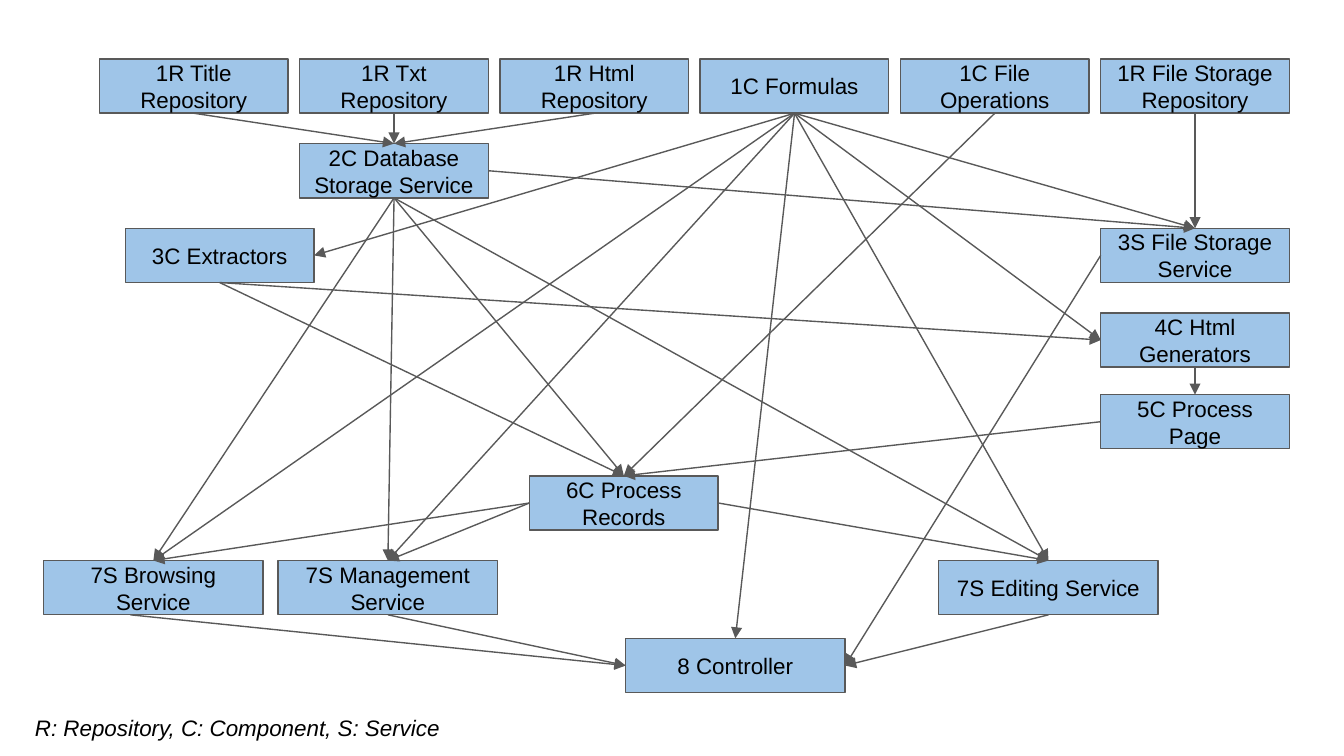
from dataclasses import dataclass

from lxml import etree
from pptx import Presentation, util as u
from pptx.dml.color import RGBColor
from pptx.enum import shapes, text
from pptx.oxml.ns import qn

COLORS = {"box": "9FC5E8", "line": "595959", "text": "000000"}
WIDTH = u.Inches(10)
HEIGHT = u.Emu(WIDTH * 9 // 16)
TOP, LEFT, BOTTOM, RIGHT = range(4)

# Shares of the slide's width and height, in percent
NARROW, WIDE, BOX_HEIGHT = 14.04, 16.33, 7.18
ROWS = [7.8, 19, 30.2, 41.4, 52.2, 62.95, 74.15, 84.45]


@dataclass(frozen=True)
class Box:
    label: str
    left: float
    row: int
    width: float = NARROW


@dataclass(frozen=True)
class Link:
    source: str
    out: int
    target: str
    into: int
    shift: float = 0


def col(n: int) -> float:
    return 7.4 + 14.9 * n


def x(share: float) -> u.Emu:
    return u.Emu(round(WIDTH * share / 100))


def y(share: float) -> u.Emu:
    return u.Emu(round(HEIGHT * share / 100))


BOXES = {
    "operations": Box("1C File Operations", col(4), 0),
    "database": Box("2C Database Storage Service", col(1), 1),
    "formulas": Box("1C Formulas", col(3), 0),
    "extractors": Box("3C Extractors", 9.33, 2),
    "generators": Box("4C Html Generators", col(5), 3),
    "page": Box("5C Process Page", col(5), 4),
    "records": Box("6C Process Records", 39.4, 5),
    "title": Box("1R Title Repository", col(0), 0),
    "txt": Box("1R Txt Repository", col(1), 0),
    "html": Box("1R Html Repository", col(2), 0),
    "files": Box("1R File Storage Repository", col(5), 0),
    "storage": Box("3S File Storage Service", col(5), 2),
    "management": Box("7S Management Service", 20.7, 6, WIDE),
    "editing": Box("7S Editing Service", 69.85, 6, WIDE),
    "browsing": Box("7S Browsing Service", 3.25, 6, WIDE),
    "controller": Box("8 Controller", 46.55, 7, WIDE),
}

LINKS = [
    Link("txt", BOTTOM, "database", TOP),
    Link("title", BOTTOM, "database", TOP),
    Link("html", BOTTOM, "database", TOP),
    Link("files", BOTTOM, "storage", TOP),
    Link("formulas", BOTTOM, "storage", TOP),
    Link("database", RIGHT, "storage", TOP),
    Link("formulas", BOTTOM, "extractors", RIGHT),
    Link("formulas", BOTTOM, "generators", LEFT),
    Link("extractors", BOTTOM, "generators", LEFT),
    Link("generators", BOTTOM, "page", TOP),
    Link("extractors", BOTTOM, "records", TOP),
    Link("page", LEFT, "records", TOP),
    Link("operations", BOTTOM, "records", TOP),
    Link("database", BOTTOM, "records", TOP),
    Link("formulas", BOTTOM, "browsing", TOP),
    Link("records", LEFT, "browsing", TOP),
    Link("database", BOTTOM, "browsing", TOP),
    Link("formulas", BOTTOM, "management", TOP),
    Link("database", BOTTOM, "management", TOP),
    Link("records", LEFT, "management", TOP),
    Link("formulas", BOTTOM, "editing", TOP),
    Link("database", BOTTOM, "editing", TOP),
    Link("records", RIGHT, "editing", TOP),
    Link("storage", LEFT, "controller", RIGHT),
    Link("management", BOTTOM, "controller", LEFT),
    Link("browsing", BOTTOM, "controller", LEFT, shift=-1.7),
    Link("editing", BOTTOM, "controller", RIGHT),
    Link("formulas", BOTTOM, "controller", TOP),
]


def write(sp, words: str, align, italic: bool = False) -> None:
    tf = sp.text_frame
    tf.word_wrap = True
    tf.margin_left = tf.margin_right = u.Inches(0.1)
    tf.margin_top = tf.margin_bottom = u.Inches(0.1)
    p = tf.paragraphs[0]
    p.text = words
    p.alignment = align
    p.font.name = "Arial"
    p.font.size = u.Pt(12)
    p.font.italic = italic
    p.font.color.rgb = RGBColor.from_string(COLORS["text"])


def style_line(line) -> None:
    line.color.rgb = RGBColor.from_string(COLORS["line"])
    line.width = u.Pt(0.75)


def draw_box(s, box: Box):
    sp = s.shapes.add_shape(shapes.MSO_SHAPE.RECTANGLE, x(box.left),
                            y(ROWS[box.row]), x(box.width), y(BOX_HEIGHT))
    sp.shadow.inherit = False
    sp.fill.solid()
    sp.fill.fore_color.rgb = RGBColor.from_string(COLORS["box"])
    style_line(sp.line)
    write(sp, box.label, text.PP_ALIGN.CENTER)
    sp.text_frame.vertical_anchor = text.MSO_ANCHOR.MIDDLE
    return sp


def side_middle(sp, side: int) -> tuple[int, int]:
    across = {LEFT: 0, TOP: 1, BOTTOM: 1, RIGHT: 2}[side]
    down = {TOP: 0, LEFT: 1, RIGHT: 1, BOTTOM: 2}[side]
    return sp.left + sp.width * across // 2, sp.top + sp.height * down // 2


def draw_link(s, link: Link, drawn: dict) -> None:
    """Join two boxes by an arrow; a shifted start is left unattached."""
    source, target = drawn[link.source], drawn[link.target]
    start_x, start_y = side_middle(source, link.out)
    arrow = s.shapes.add_connector(
        shapes.MSO_CONNECTOR.STRAIGHT, start_x + x(link.shift), start_y,
        *side_middle(target, link.into))
    if not link.shift:
        arrow.begin_connect(source, link.out)
    arrow.end_connect(target, link.into)
    style_line(arrow.line)
    etree.SubElement(arrow.line._get_or_add_ln(), qn("a:tailEnd"),
                     type="triangle", w="med", len="med")
    etree.SubElement(arrow._element.spPr, qn("a:effectLst"))


def main() -> None:
    prs = Presentation()
    prs.slide_width, prs.slide_height = WIDTH, HEIGHT
    s = prs.slides.add_slide(prs.slide_layouts[6])
    drawn = {name: draw_box(s, box) for name, box in BOXES.items()}
    for link in LINKS:
        draw_link(s, link, drawn)
    legend = s.shapes.add_textbox(x(1.62), y(92.65), x(33), y(BOX_HEIGHT))
    write(legend, "R: Repository, C: Component, S: Service",
          text.PP_ALIGN.LEFT, italic=True)
    legend.text_frame.auto_size = text.MSO_AUTO_SIZE.SHAPE_TO_FIT_TEXT
    prs.save("out.pptx")


if __name__ == "__main__":
    main()
